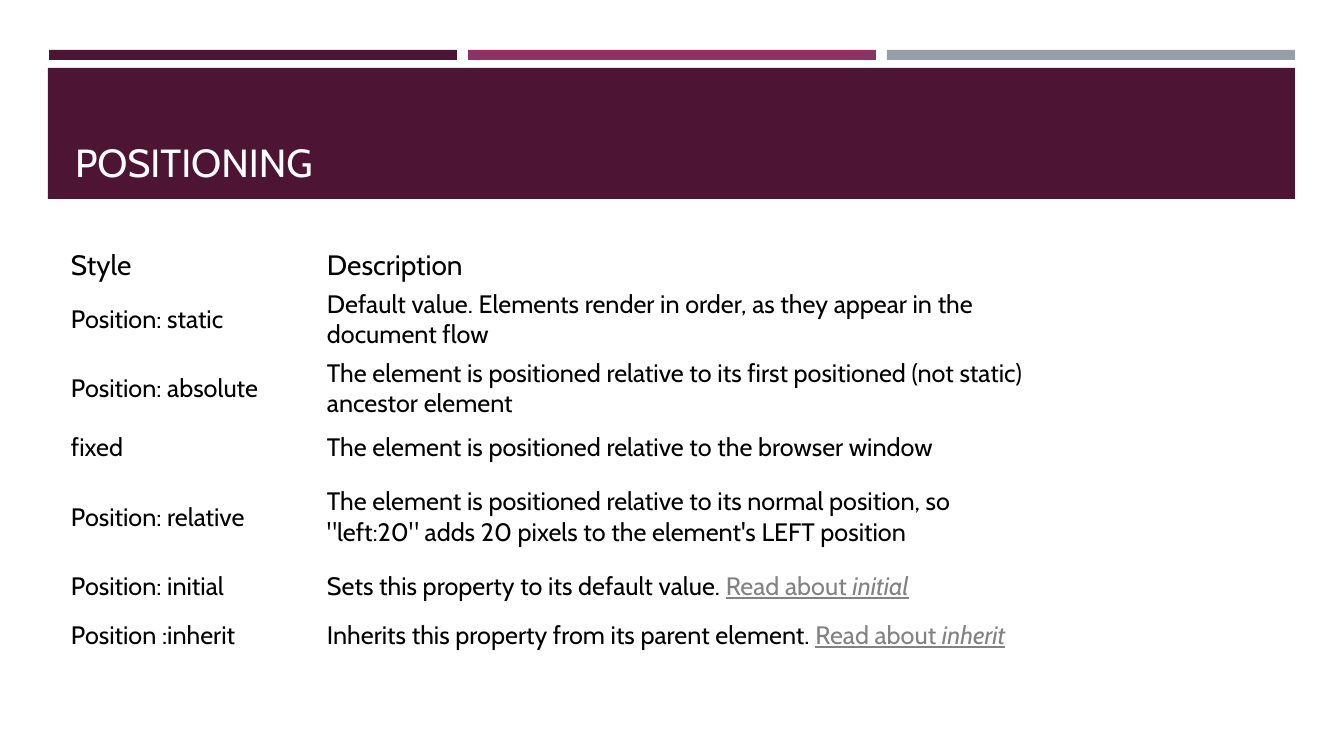
from dataclasses import dataclass

from pptx import Presentation
from pptx import util as u
from pptx.dml import color
from pptx.enum import shapes, text


@dataclass(frozen=True)
class Theme:
    font: str = "Cabin"
    plum: str = "4D1434"
    magenta: str = "903163"
    slate: str = "969FA7"
    white: str = "FFFFFF"
    ink: str = "000000"
    link: str = "828282"
    title_size: int = 28
    heading_size: int = 20
    body_size: int = 18


@dataclass(frozen=True)
class Box:
    left: int
    top: int
    width: int
    height: int

    def emu(self):
        return [px(n) for n in (self.left, self.top, self.width, self.height)]


THEME = Theme()
PX_PER_INCH = 100.8
COLUMN_WIDTHS = (256, 720, 124)
ROW_HEIGHTS = (40, 69, 69, 49, 90, 49, 49)
STYLES = [
    ("Style", "Description"),
    ("Position: static",
     "Default value. Elements render in order, as they appear in the document flow"),
    ("Position: absolute",
     "The element is positioned relative to its first positioned (not static) ancestor element"),
    ("fixed", "The element is positioned relative to the browser window"),
    ("Position: relative",
     "The element is positioned relative to its normal position, so "
     "\"left:20\" adds 20 pixels to the element's LEFT position"),
    ("Position: initial", "Sets this property to its default value. ", "initial"),
    ("Position :inherit", "Inherits this property from its parent element. ", "inherit"),
]


def px(length):
    return u.Emu(round(length * 914400 / PX_PER_INCH))


def add_run(paragraph, words, size, ink, underline=False, italic=False):
    run = paragraph.add_run()
    run.text = words
    run.font.name = THEME.font
    run.font.size = u.Pt(size)
    run.font.color.rgb = color.RGBColor.from_string(ink)
    run.font.underline = underline
    run.font.italic = italic
    run.font.bold = False


def add_bar(slide, box, fill):
    bar = slide.shapes.add_shape(shapes.MSO_SHAPE.RECTANGLE, *box.emu())
    bar.shadow.inherit = False
    bar.fill.solid()
    bar.fill.fore_color.rgb = color.RGBColor.from_string(fill)
    bar.line.fill.background()


def add_accent_bars(slide, box, gap):
    fills = (THEME.plum, THEME.magenta, THEME.slate)
    width = (box.width - gap * (len(fills) - 1)) // len(fills)
    for index, fill in enumerate(fills):
        left = box.left + index * (width + gap)
        add_bar(slide, Box(left, box.top, width, box.height), fill)


def add_title_band(slide, box, words):
    add_bar(slide, box, THEME.plum)
    title = slide.shapes.title
    title.element.getparent().append(title.element)
    title_box = Box(box.left + 17, box.top + 10, box.width - 32, box.height - 19)
    title.left, title.top, title.width, title.height = title_box.emu()
    frame = title.text_frame
    frame.word_wrap = True
    frame.auto_size = text.MSO_AUTO_SIZE.NONE
    frame.vertical_anchor = text.MSO_ANCHOR.BOTTOM
    heading = frame.paragraphs[0]
    heading.alignment = text.PP_ALIGN.LEFT
    add_run(heading, words, THEME.title_size, THEME.white)


def add_style_table(slide, box):
    frame = slide.shapes.add_table(len(STYLES), len(COLUMN_WIDTHS), *box.emu())
    table = frame.table
    table.first_row = False
    table.horz_banding = False
    for column, width in zip(table.columns, COLUMN_WIDTHS):
        column.width = px(width)
    for row, height in zip(table.rows, ROW_HEIGHTS):
        row.height = px(height)
    for cell in table.iter_cells():
        cell.fill.background()
        cell.vertical_anchor = text.MSO_ANCHOR.MIDDLE
        cell.margin_left = cell.margin_right = px(7)
        cell.margin_top = cell.margin_bottom = px(3)
    for index, (style, description, *keyword) in enumerate(STYLES):
        size = THEME.body_size if index else THEME.heading_size
        style_cell, description_cell = table.cell(index, 0), table.cell(index, 1)
        add_run(style_cell.text_frame.paragraphs[0], style, size, THEME.ink)
        explanation = description_cell.text_frame.paragraphs[0]
        add_run(explanation, description, size, THEME.ink)
        for word in keyword:
            add_run(explanation, "Read about ", size, THEME.link, underline=True)
            add_run(explanation, word, size, THEME.link, underline=True, italic=True)


def build_positioning_slide(deck, box):
    slide = deck.slides.add_slide(deck.slide_layouts[5])
    add_accent_bars(slide, Box(box.left + 49, box.top + 50, 1246, 10), gap=11)
    add_title_band(slide, Box(box.left + 48, box.top + 68, 1247, 131), "POSITIONING")
    add_style_table(
        slide,
        Box(box.left + 64, box.top + 245, sum(COLUMN_WIDTHS), sum(ROW_HEIGHTS)),
    )


def main():
    deck = Presentation()
    page = Box(0, 0, 1344, 756)
    deck.slide_width, deck.slide_height = px(page.width), px(page.height)
    build_positioning_slide(deck, page)
    deck.save("out.pptx")


if __name__ == "__main__":
    main()
